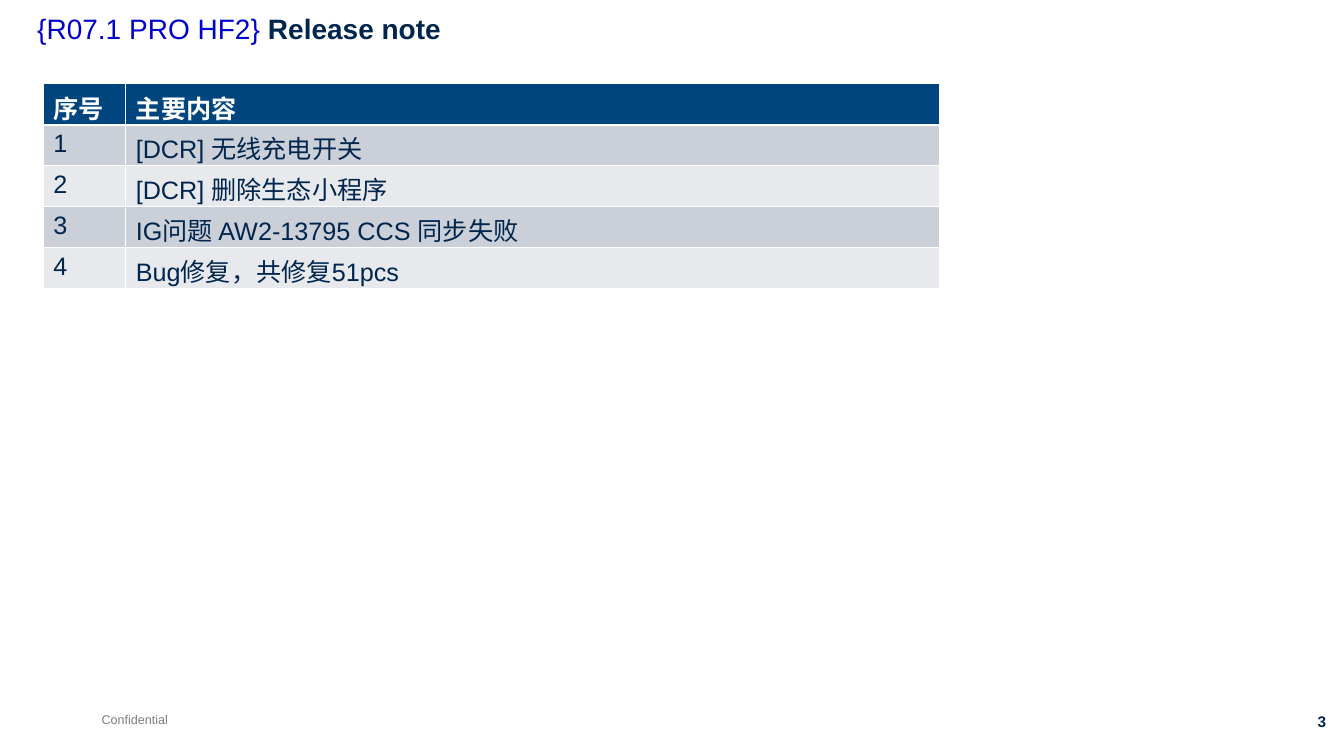
"""Build the release note slide with its table of main changes."""
from lxml import etree
from pptx import Presentation
from pptx.dml.color import RGBColor
from pptx.enum import text as t
from pptx.oxml.ns import qn
from pptx.util import Cm, Pt

NAVY = RGBColor(0x00, 0x26, 0x4E)
HEADER_BLUE = RGBColor(0x00, 0x45, 0x7E)
VERSION_BLUE = RGBColor(0x00, 0x00, 0xCC)
GREY = RGBColor(0x7F, 0x7F, 0x7F)
WHITE = RGBColor(0xFF, 0xFF, 0xFF)
BAND_DARK = RGBColor(0xCB, 0xCF, 0xD8)
BAND_LIGHT = RGBColor(0xE7, 0xE9, 0xEC)


def add_text(paragraph, words, size=18, color=NAVY, bold=False):
    run = paragraph.add_run()
    run.text = words
    run.font.name = "Arial"
    run.font.size = Pt(size)
    run.font.bold = bold
    run.font.color.rgb = color


def add_border(cell, side, width):
    line = etree.SubElement(cell._tc.get_or_add_tcPr(), qn(f"a:ln{side}"), w=str(Pt(width)))
    fill = etree.SubElement(line, qn("a:solidFill"))
    etree.SubElement(fill, qn("a:srgbClr"), val=str(WHITE))


presentation = Presentation()
presentation.slide_width = Cm(33.88)
presentation.slide_height = Cm(19.05)
slide = presentation.slides.add_slide(presentation.slide_layouts[6])

confidential = slide.shapes.add_textbox(Cm(2.31), Cm(17.81), Cm(2.18), Cm(0.64))
confidential.text_frame.word_wrap = False
add_text(confidential.text_frame.paragraphs[0], "Confidential", size=9, color=GREY)

page_number = slide.shapes.add_textbox(Cm(31.29), Cm(17.81), Cm(2.39), Cm(0.74))
page_number.text_frame.word_wrap = True
page_number.text_frame.paragraphs[0].alignment = t.PP_ALIGN.RIGHT
add_text(page_number.text_frame.paragraphs[0], "3", size=11, bold=True)

title = slide.shapes.add_textbox(Cm(0.69), Cm(0.25), Cm(30.1), Cm(1.6))
title.text_frame.word_wrap = True
heading = title.text_frame.paragraphs[0]
heading.line_spacing = 0.9
add_text(heading, "{R07.1 PRO HF2} ", size=20, color=VERSION_BLUE)
add_text(heading, "Release note", size=20, bold=True)

changes = [
    "[DCR] 无线充电开关",
    "[DCR] 删除生态小程序",
    "IG问题 AW2-13795 CCS 同步失败",
    "Bug修复，共修复51pcs",
]
rows = [("序号", "主要内容")]
rows += [(str(number), change) for number, change in enumerate(changes, 1)]

table = slide.shapes.add_table(len(rows), 2, Cm(1.09), Cm(2.11), Cm(22.58), Cm(5.15)).table
table.columns[0].width = Cm(2.08)
table.columns[1].width = Cm(20.5)

for row_index, row in enumerate(rows):
    is_header = row_index == 0
    band = BAND_DARK if row_index % 2 else BAND_LIGHT
    for column_index, words in enumerate(row):
        cell = table.cell(row_index, column_index)
        add_border(cell, "L", 0.45)
        add_border(cell, "R", 0.45)
        add_border(cell, "T", 1.47 if row_index == 1 else 0.45)
        add_border(cell, "B", 1.47 if is_header else 0.45)
        cell.fill.solid()
        cell.fill.fore_color.rgb = HEADER_BLUE if is_header else band
        add_text(cell.text_frame.paragraphs[0], words,
                 color=WHITE if is_header else NAVY, bold=is_header)

presentation.save("out.pptx")
